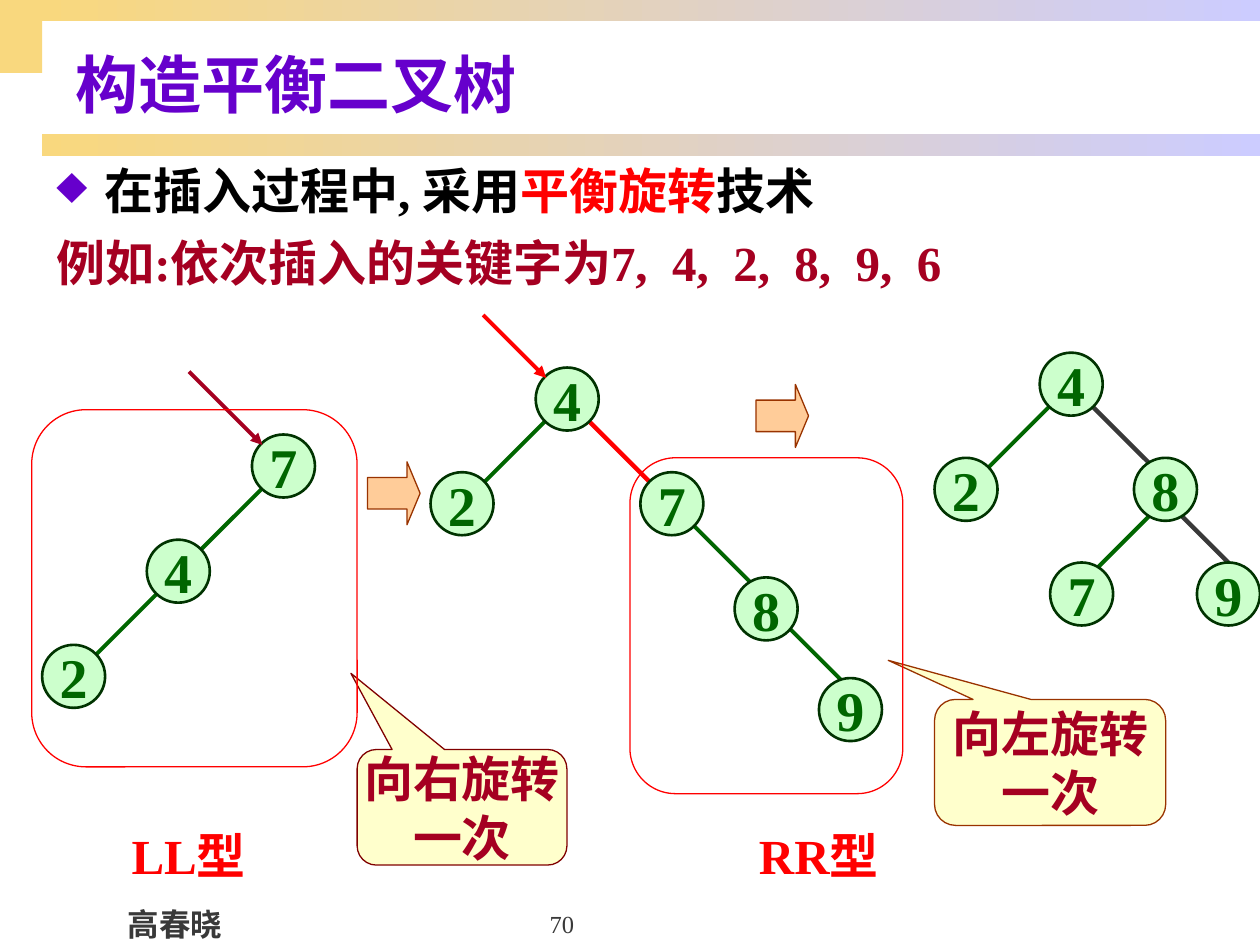
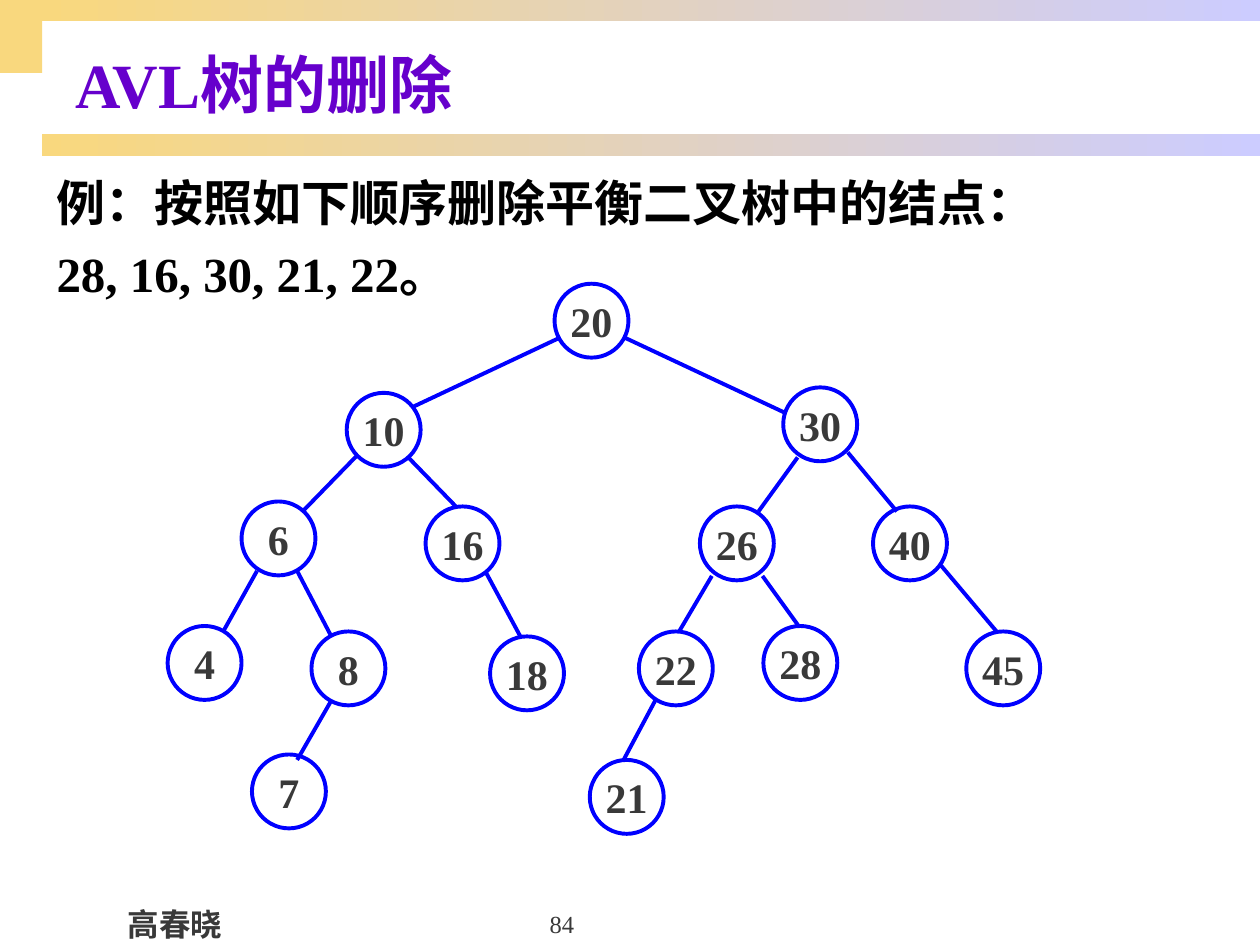
"""Build two slides on balanced binary trees: rotation on insertion and AVL deletion."""
from dataclasses import dataclass
from typing import NamedTuple

from lxml import etree
from pptx import Presentation
from pptx.dml.color import RGBColor
from pptx.enum.shapes import MSO_CONNECTOR, MSO_SHAPE
from pptx.enum.text import MSO_ANCHOR, PP_ALIGN
from pptx.oxml.ns import qn
from pptx.util import Cm, Pt

LEFT, CENTER = PP_ALIGN.LEFT, PP_ALIGN.CENTER
TOP, MIDDLE, BOTTOM = MSO_ANCHOR.TOP, MSO_ANCHOR.MIDDLE, MSO_ANCHOR.BOTTOM
STRAIGHT = MSO_CONNECTOR.STRAIGHT
RECTANGLE, ELLIPSE = MSO_SHAPE.RECTANGLE, MSO_SHAPE.OVAL
ROUNDED, BLOCK_ARROW = MSO_SHAPE.ROUNDED_RECTANGLE, MSO_SHAPE.RIGHT_ARROW
CALLOUT = MSO_SHAPE.ROUNDED_RECTANGULAR_CALLOUT


@dataclass(frozen=True)
class Theme:
    """Colours, fonts and type sizes shared by the slides."""
    gold: str = "F9D87E"
    lavender: str = "CCCCFF"
    purple: str = "6600CC"
    black: str = "000000"
    grey: str = "393939"
    red: str = "FF0000"
    crimson: str = "A50021"
    green: str = "006600"
    dark_green: str = "003300"
    pale_green: str = "CCFFCC"
    blue: str = "0000FF"
    peach: str = "FFCC99"
    brown: str = "993300"
    maroon: str = "800000"
    cream: str = "FFFFCC"
    latin: str = "Times New Roman"
    chinese: str = "Noto Sans CJK SC"
    title_size: float = 36
    node_size: float = 32
    body_size: float = 28
    avl_node_size: float = 24
    author_size: float = 18
    number_size: float = 14


THEME = Theme()


class Box(NamedTuple):
    """Left, top, width and height in centimetres."""
    left: float
    top: float
    width: float
    height: float


class Node(NamedTuple):
    """A tree node: its key and upper left corner in centimetres."""
    key: int
    left: float
    top: float


class Edge(NamedTuple):
    """A line between two points in centimetres."""
    x1: float
    y1: float
    x2: float
    y2: float
    color: str = THEME.green
    weight: float = 2.25
    arrow: bool = False


class NodeStyle(NamedTuple):
    """The look of every node in one kind of tree."""
    diameter: float
    fill: str | None
    outline: str
    weight: float
    text_color: str
    text_size: float


class Note(NamedTuple):
    """A callout with the place of its tip."""
    box: Box
    lines: tuple[str, ...]
    tip: tuple[float, float]
    outline: str


ROTATION_NODE = NodeStyle(1.27, THEME.pale_green, THEME.dark_green, 1.5,
                          THEME.green, THEME.node_size)
AVL_NODE = NodeStyle(1.49, None, THEME.blue, 2.25, THEME.grey, THEME.avl_node_size)
BODY = Box(0.89, 3.12, 24.49, 14.66)


def diagonal(x: float, y: float, run: float, color: str = THEME.green,
             weight: float = 2.25, arrow: bool = False) -> Edge:
    """Return an edge that falls at 45 degrees, leftwards when run is negative."""
    return Edge(x, y, x + run, y + abs(run), color, weight, arrow)


ROTATION_NODES = (
    Node(7, 5.08, 8.76), Node(4, 2.96, 10.88), Node(2, 0.85, 13),
    Node(4, 10.8, 7.41), Node(2, 8.68, 9.52), Node(7, 12.91, 9.52),
    Node(8, 14.81, 11.64), Node(9, 16.51, 13.67),
    Node(4, 20.96, 7.11), Node(2, 18.84, 9.23), Node(8, 22.86, 9.23),
    Node(7, 21.17, 11.34), Node(9, 24.13, 11.34),
)
ROTATION_EDGES = (
    diagonal(5.29, 9.84, -1.27), diagonal(3.18, 11.95, -1.27),
    diagonal(11.01, 8.47, -1.27), diagonal(11.85, 8.47, 1.27, THEME.red, 2.5),
    diagonal(13.97, 10.58, 1.27), diagonal(15.88, 12.63, 1.27),
    diagonal(21.17, 8.18, -1.27), diagonal(22.01, 8.18, 1.69, THEME.grey, 2.5),
    diagonal(23.28, 10.29, -1.27), diagonal(23.71, 10.29, 1.69, THEME.grey, 2.5),
)
ROOT_POINTERS = (
    diagonal(3.81, 7.49, 1.48, THEME.crimson, arrow=True),
    diagonal(9.74, 6.35, 1.27, THEME.red, arrow=True),
)
ROTATION_STEPS = (Box(7.41, 9.31, 1.06, 1.27), Box(15.24, 7.75, 1.06, 1.27))
UNBALANCED_FRAMES = (Box(12.7, 9.23, 5.5, 6.77), Box(0.64, 8.26, 6.56, 7.2))
ROTATION_NOTES = (
    Note(Box(7.2, 15.11, 4.23, 2.33), ("向右旋转", "一次"), (-0.53, -1.16), THEME.maroon),
    Note(Box(18.84, 14.1, 4.66, 2.54), ("向左旋转", "一次"), (-0.7, -0.81), THEME.brown),
)
CASE_LABELS = (("LL型", 2.11), ("RR型", 14.81))

AVL_NODES = (
    Node(20, 11.18, 5.72), Node(10, 6.99, 7.92), Node(30, 15.79, 7.81),
    Node(6, 4.87, 10.11), Node(16, 8.58, 10.21), Node(26, 14.11, 10.21),
    Node(40, 17.6, 10.21), Node(4, 3.38, 12.62), Node(8, 6.28, 12.73),
    Node(18, 9.88, 12.83), Node(22, 12.88, 12.73), Node(28, 15.39, 12.62),
    Node(45, 19.48, 12.73), Node(7, 5.08, 15.21), Node(21, 11.89, 15.32),
)
AVL_LINKS = (
    (11.28, 6.81, 8.33, 8.2), (12.6, 6.81, 15.8, 8.31),
    (7.19, 9.19, 6.1, 10.31), (8.23, 9.22, 9.19, 10.21),
    (16.08, 9.22, 15.29, 10.31), (17.09, 9.12, 18.08, 10.31),
    (5.18, 11.51, 4.5, 12.73), (5.99, 11.51, 6.68, 12.83),
    (9.78, 11.51, 10.49, 12.83), (14.35, 11.61, 13.69, 12.73),
    (15.37, 11.61, 16.1, 12.62), (18.97, 11.4, 20.09, 12.73),
    (6.68, 14.12, 5.99, 15.32), (13.21, 14.12, 12.57, 15.32),
)


def rgb(color: str) -> RGBColor:
    """Turn a hex string into a colour."""
    return RGBColor.from_string(color)


def add_bullet(paragraph) -> None:
    """Give a paragraph the purple diamond and a hanging indent."""
    properties = paragraph._p.get_or_add_pPr()
    properties.set("marL", str(Cm(0.97)))
    properties.set("indent", str(-Cm(0.97)))
    tint = etree.SubElement(properties, qn("a:buClr"))
    etree.SubElement(tint, qn("a:srgbClr"), val=THEME.purple)
    etree.SubElement(properties, qn("a:buSzPct"), val="110000")
    etree.SubElement(properties, qn("a:buChar"), char="♦")


def write(shape, *paragraphs, size: float, color: str, bold: bool = True,
          align=LEFT, anchor=TOP, wrap: bool = True, tight: bool = False,
          spacing: float | None = None, bullet: bool = False) -> None:
    """Fill a shape with paragraphs, each a string or a tuple of (text, colour) runs."""
    frame = shape.text_frame
    frame.word_wrap = wrap
    frame.vertical_anchor = anchor
    if tight:
        frame.margin_left = frame.margin_right = frame.margin_top = frame.margin_bottom = 0
    for index, content in enumerate(paragraphs):
        paragraph = frame.paragraphs[0] if index == 0 else frame.add_paragraph()
        paragraph.alignment = align
        if spacing:
            paragraph.line_spacing = spacing
        if bullet:
            add_bullet(paragraph)
        pieces = ((content, color),) if isinstance(content, str) else content
        for text, tint in pieces:
            run = paragraph.add_run()
            run.text = text
            run.font.size, run.font.bold = Pt(size), bold
            run.font.name = THEME.latin
            run.font.color.rgb = rgb(tint)
            etree.SubElement(run._r.get_or_add_rPr(), qn("a:ea"), typeface=THEME.chinese)


def add_text(slide, box: Box, *paragraphs, **text_format) -> None:
    """Add a text box and write into it."""
    write(slide.shapes.add_textbox(*map(Cm, box)), *paragraphs, **text_format)


def add_preset(slide, preset, box: Box, fill: str | None = None,
               outline: str | None = None, weight: float = 0.75):
    """Add a flat preset shape."""
    shape = slide.shapes.add_shape(preset, *map(Cm, box))
    shape.shadow.inherit = False
    if fill:
        shape.fill.solid()
        shape.fill.fore_color.rgb = rgb(fill)
    else:
        shape.fill.background()
    if outline:
        shape.line.color.rgb = rgb(outline)
        shape.line.width = Pt(weight)
    else:
        shape.line.fill.background()
    return shape


def draw_edge(slide, edge: Edge) -> None:
    """Draw a tree edge or a pointer."""
    line = slide.shapes.add_connector(STRAIGHT, *map(Cm, edge[:4]))
    line.line.color.rgb = rgb(edge.color)
    line.line.width = Pt(edge.weight)
    if edge.arrow:
        etree.SubElement(line.line._get_or_add_ln(), qn("a:tailEnd"), type="triangle")
    etree.SubElement(line._element.spPr, qn("a:effectLst"))


def draw_node(slide, node: Node, style: NodeStyle) -> None:
    """Draw a node with its key."""
    box = Box(node.left, node.top, style.diameter, style.diameter)
    circle = add_preset(slide, ELLIPSE, box, style.fill, style.outline, style.weight)
    write(circle, str(node.key), size=style.text_size, color=style.text_color,
          align=CENTER, anchor=MIDDLE, wrap=False, tight=True)


def draw_note(slide, note: Note) -> None:
    """Draw a callout that names a rotation."""
    callout = add_preset(slide, CALLOUT, note.box, THEME.cream, note.outline)
    callout.adjustments[0], callout.adjustments[1] = note.tip
    write(callout, *note.lines, size=THEME.body_size, color=THEME.crimson,
          align=CENTER, anchor=MIDDLE, wrap=False, tight=True)


def start_slide(deck, title: str, number: int):
    """Add a slide with its bands, title and footer."""
    slide = deck.slides.add_slide(deck.slide_layouts[6])
    add_preset(slide, RECTANGLE, Box(0, 0, 0.85, 1.47), THEME.gold)
    for top in (2.71, 0):
        band = add_preset(slide, RECTANGLE, Box(0.85, top, 24.55, 0.43))
        band.fill.gradient()
        band.fill.gradient_angle = 0
        for stop, color in zip(band.fill.gradient_stops, (THEME.gold, THEME.lavender)):
            stop.color.rgb = rgb(color)
    add_text(slide, Box(1.27, 0.64, 24.13, 2.08), title, size=THEME.title_size,
             color=THEME.purple, anchor=MIDDLE)
    add_text(slide, Box(2.31, 18.11, 2.44, 1.02), "高春晓", size=THEME.author_size,
             color=THEME.grey, align=CENTER, wrap=False)
    add_text(slide, Box(8.69, 17.78, 5.28, 1.27), str(number), size=THEME.number_size,
             color=THEME.grey, bold=False, align=CENTER, anchor=BOTTOM)
    return slide


def build_rotation_slide(deck) -> None:
    """Show how LL and RR cases are balanced while inserting."""
    slide = start_slide(deck, "构造平衡二叉树", 70)
    rule = (("在插入过程中, 采用", THEME.black), ("平衡旋转", THEME.red), ("技术", THEME.black))
    add_text(slide, BODY, rule, size=THEME.body_size, color=THEME.black, bullet=True)
    add_text(slide, Box(0.89, 4.57, 18.59, 1.45),
             "例如:依次插入的关键字为7,  4,  2,  8,  9,  6",
             size=THEME.body_size, color=THEME.crimson)
    for edge in ROTATION_EDGES:
        draw_edge(slide, edge)
    for node in ROTATION_NODES:
        draw_node(slide, node, ROTATION_NODE)
    for pointer in ROOT_POINTERS:
        draw_edge(slide, pointer)
    for step in ROTATION_STEPS:
        arrow = add_preset(slide, BLOCK_ARROW, step, THEME.peach, THEME.brown)
        arrow.adjustments[1] = 0.25
    for note in ROTATION_NOTES:
        draw_note(slide, note)
    for frame in UNBALANCED_FRAMES:
        add_preset(slide, ROUNDED, frame, outline=THEME.red)
    for label, left in CASE_LABELS:
        add_text(slide, Box(left, 16.51, 3.39, 1.45), label, size=THEME.body_size,
                 color=THEME.red, align=CENTER)


def build_deletion_slide(deck) -> None:
    """Show the AVL tree for the deletion exercise."""
    slide = start_slide(deck, "AVL树的删除", 84)
    add_text(slide, BODY, "例：按照如下顺序删除平衡二叉树中的结点：", "28, 16, 30, 21, 22。",
             size=THEME.body_size, color=THEME.black, spacing=1.2)
    for node in AVL_NODES:
        draw_node(slide, node, AVL_NODE)
    for link in AVL_LINKS:
        draw_edge(slide, Edge(*link, color=THEME.blue))


def main() -> None:
    """Build and save the presentation."""
    deck = Presentation()
    deck.slide_width, deck.slide_height = Cm(25.4), Cm(19.05)
    build_rotation_slide(deck)
    build_deletion_slide(deck)
    deck.save("out.pptx")


if __name__ == "__main__":
    main()
